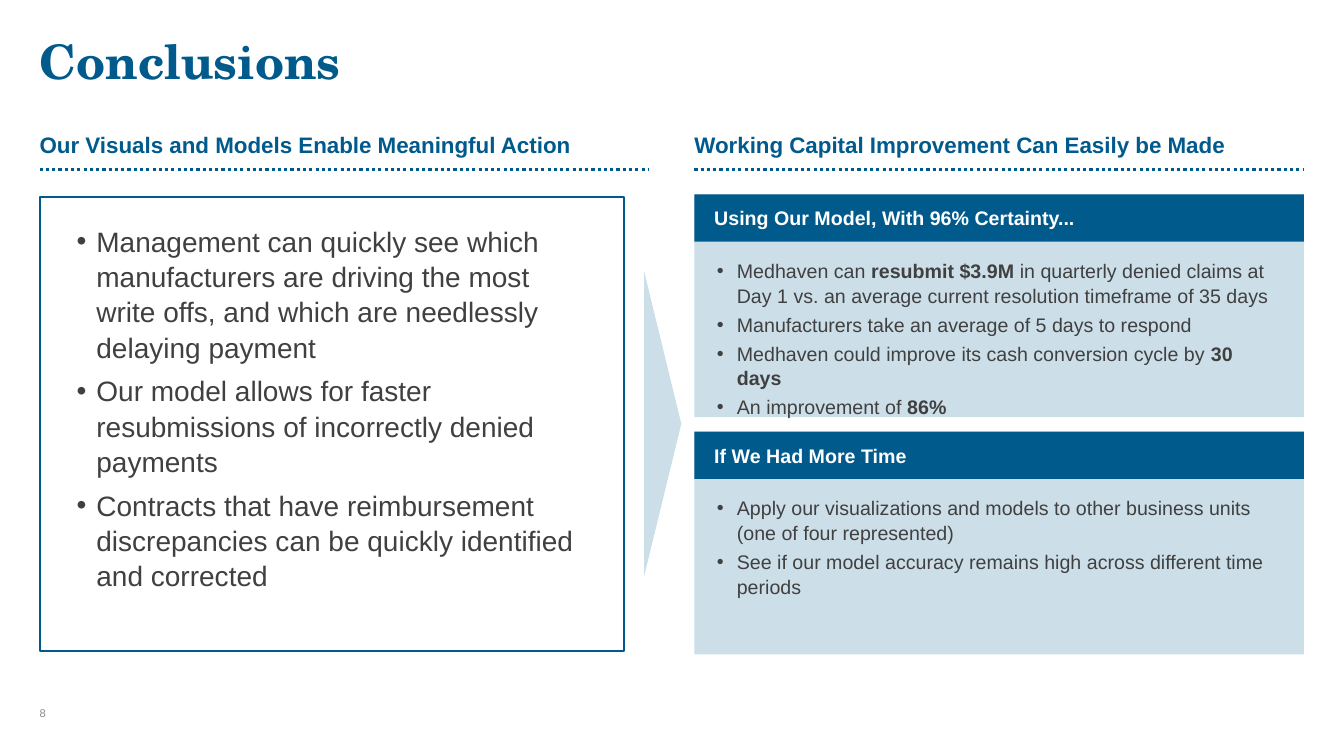
from pptx import Presentation
from pptx.dml.color import RGBColor
from pptx.enum.dml import MSO_LINE as Dash
from pptx.enum.shapes import MSO_CONNECTOR as Link, MSO_SHAPE as Kind
from pptx.enum.text import MSO_ANCHOR as Anchor
from pptx.oxml.ns import qn
from pptx.util import Cm, Pt
from lxml.etree import SubElement as Sub

BLUE, PALE, WHITE, DARK, GREY = "005A8C", "CCDEE8", "FFFFFF", "404040", "8C8C8C"

deck = Presentation()
deck.slide_width, deck.slide_height = Cm(33.87), Cm(19.05)
page = deck.slides.add_slide(deck.slide_layouts[6])
items = page.shapes


def paint(fmt, tone):
    fmt.solid()
    fmt.fore_color.rgb = RGBColor.from_string(tone)


def write(shape, text, size=14, tone=DARK, bold=False, font="Arial",
          anchor=Anchor.TOP, pad=(0, 0, 0, 0), gap=0, line=1.0, dots=False):
    frame = shape.text_frame
    frame.word_wrap = True
    frame.vertical_anchor = anchor
    frame.margin_left, frame.margin_top, frame.margin_right, frame.margin_bottom = map(Cm, pad)
    for i, row in enumerate(text.split("\n")):
        para = frame.add_paragraph() if i else frame.paragraphs[0]
        para.alignment = 1
        para.space_after, para.line_spacing = Pt(gap), line
        if dots:
            props = para._p.get_or_add_pPr()
            props.set("marL", str(Cm(0.5)))
            props.set("indent", str(-Cm(0.5)))
            Sub(props, qn("a:buFont")).set("typeface", "Arial")
            Sub(props, qn("a:buChar")).set("char", "•")
        for j, part in enumerate(row.split("**")):
            if part:
                run = para.add_run()
                run.text = part
                run.font.size, run.font.name = Pt(size), font
                run.font.bold = bold or j % 2 == 1
                paint(run.font.fill, tone)


title = items.add_textbox(Cm(1), Cm(0.97), Cm(31.9), Cm(1.02))
write(title, "Conclusions", size=34, tone=BLUE, bold=True, font="TeX Gyre Schola", line=0.9)

number = items.add_textbox(Cm(1), Cm(17.63), Cm(1), Cm(0.5))
write(number, "8", size=8, tone=GREY, anchor=Anchor.BOTTOM)

arrow = items.add_shape(Kind.ISOSCELES_TRIANGLE, Cm(12.85), Cm(10.21), Cm(7.7), Cm(0.94))
arrow.rotation = 90
arrow.shadow.inherit = False
paint(arrow.fill, PALE)
arrow.line.fill.background()

heads = [(1, "Our Visuals and Models Enable Meaningful Action"),
         (17.5, "Working Capital Improvement Can Easily be Made")]
for left, text in heads:
    head = items.add_textbox(Cm(left), Cm(2.97), Cm(15.34), Cm(1))
    write(head, text, size=16, tone=BLUE, bold=True, anchor=Anchor.BOTTOM)
    rule = items.add_connector(Link.STRAIGHT, Cm(left), Cm(4.27), Cm(left + 15.34), Cm(4.27))
    paint(rule.line.fill, BLUE)
    rule.line.width = Pt(2.25)
    rule.line.dash_style = Dash.ROUND_DOT
    Sub(rule._element.spPr, qn("a:effectLst"))

frame = items.add_shape(Kind.RECTANGLE, Cm(1), Cm(4.96), Cm(14.73), Cm(11.45))
frame.shadow.inherit = False
paint(frame.fill, WHITE)
paint(frame.line.fill, BLUE)
frame.line.width = Pt(1.5)

points = items.add_textbox(Cm(1.68), Cm(5.48), Cm(13.36), Cm(10.05))
write(points, "Management can quickly see which manufacturers are driving the most write offs, "
      "and which are needlessly delaying payment\n"
      "Our model allows for faster resubmissions of incorrectly denied payments\n"
      "Contracts that have reimbursement discrepancies can be quickly identified and corrected",
      size=20, pad=(0.25, 0.13, 0.25, 0.13), gap=6, line=1.05, dots=True)

cards = [
    (4.9, "Using Our Model, With 96% Certainty...",
     "Medhaven can **resubmit $3.9M **in quarterly denied claims at Day 1 vs. "
     "an average current resolution timeframe of 35 days\n"
     "Manufacturers take an average of 5 days to respond\n"
     "Medhaven could improve its cash conversion cycle by **30 days**\n"
     "An improvement of **86%**"),
    (10.88, "If We Had More Time",
     "Apply our visualizations and models to other business units (one of four represented)\n"
     "See if our model accuracy remains high across different time periods"),
]
for top, name, text in cards:
    for high, tone in [(5.61, PALE), (1.19, BLUE)]:
        block = items.add_shape(Kind.RECTANGLE, Cm(17.5), Cm(top), Cm(15.36), Cm(high))
        block.shadow.inherit = False
        paint(block.fill, tone)
        block.line.fill.background()
    write(block, name, tone=WHITE, bold=True, anchor=Anchor.MIDDLE, pad=(0.5, 0.13, 0.25, 0.13))
    body = items.add_textbox(Cm(18.07), Cm(top + 1.6), Cm(14.25), Cm(3.53))
    write(body, text, gap=3, line=1.05, dots=True)

deck.save("out.pptx")
